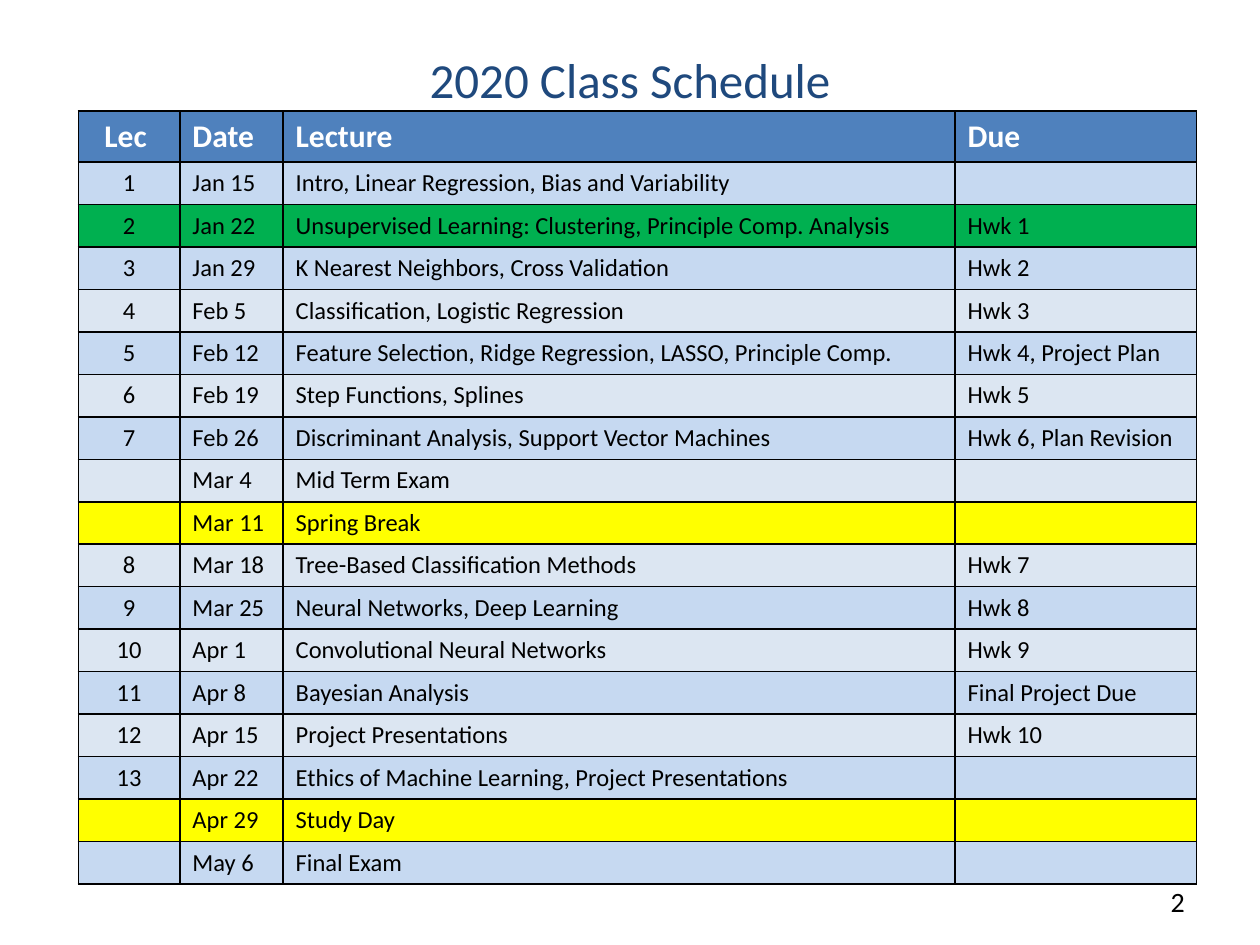
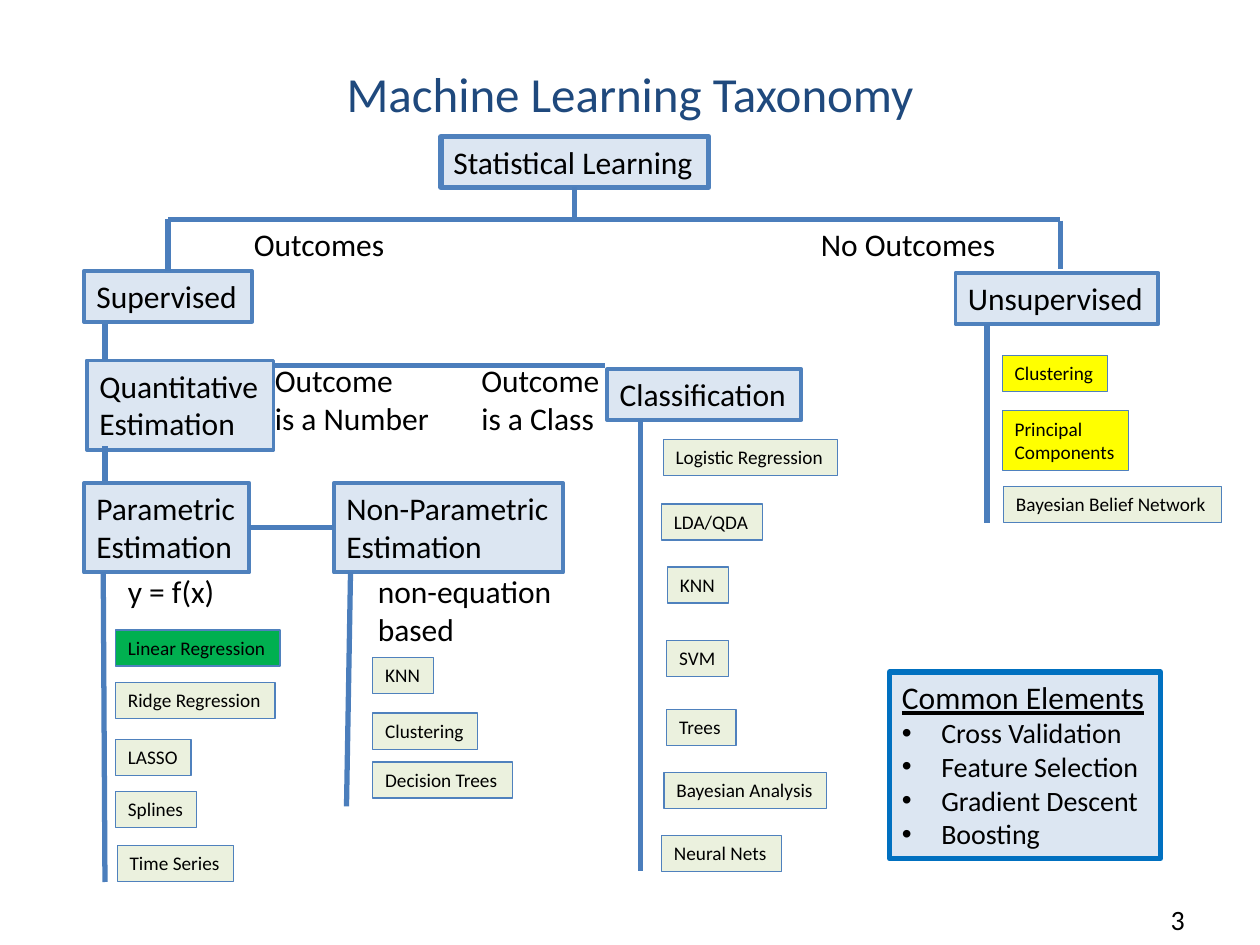
"""Build the class schedule and machine learning taxonomy slides."""
from dataclasses import dataclass

from lxml.etree import SubElement
from pptx import Presentation
from pptx.dml.color import RGBColor
from pptx.enum.shapes import MSO_CONNECTOR as Connector, MSO_SHAPE as Shape
from pptx.enum.text import MSO_ANCHOR as Anchor, MSO_AUTO_SIZE as AutoSize, PP_ALIGN as Align
from pptx.oxml.ns import qn
from pptx.util import Pt

TOP, LEFT, BOTTOM, RIGHT = range(4)


@dataclass(frozen=True)
class BoxStyle:
    """Looks of one kind of box: type size, height rule, fill and outline."""
    size: float
    height: float
    step: float
    fill: str = ""
    weight: float = 0


@dataclass(frozen=True)
class Theme:
    """Colours and type sizes shared by the slides."""
    font: str = "Calibri"
    ink: str = "000000"
    white: str = "FFFFFF"
    title: str = "1F497D"
    blue: str = "4F81BD"
    branch: str = "4B7EBC"
    frame: str = "0070C0"
    bands: tuple = ("DCE6F2", "C6D9F1")
    today: str = "00B050"
    marked: str = "FFFF00"
    title_size: float = 28
    head_size: float = 18
    list_size: float = 16
    cell_size: float = 14
    thick: float = 3
    node: BoxStyle = BoxStyle(18, 29.1, 22, "DCE6F2", 2.25)
    label: BoxStyle = BoxStyle(18, 29.1, 22)
    leaf: BoxStyle = BoxStyle(11, 20.6, 13.4, "EBF1DE", 0.75)


def assign(target, values):
    """Set every attribute named in values."""
    for name, value in values.items():
        setattr(target, name, value)


class Board:
    """Holds the theme and the current slide, and draws elements on it."""

    def __init__(self, deck, theme):
        """Keep the deck and its theme."""
        self.deck, self.theme, self.page = deck, theme, None

    def start(self, title, top, height, number, number_top):
        """Add a titled slide with its page number."""
        self.page = self.deck.slides.add_slide(self.deck.slide_layouts[5])
        box = self.page.shapes.title
        assign(box, dict(left=Pt(36), top=Pt(top), width=Pt(648), height=Pt(height)))
        box.text_frame.vertical_anchor = Anchor.MIDDLE
        self.add_span(box.text_frame.paragraphs[0], title, self.theme.title_size,
                      self.theme.title, Align.CENTER)
        box = self.page.shapes.add_textbox(Pt(516), Pt(number_top), Pt(168), Pt(28.8))
        assign(box.text_frame, dict(word_wrap=True, vertical_anchor=Anchor.MIDDLE))
        self.add_span(box.text_frame.paragraphs[0], number, self.theme.list_size,
                      align=Align.RIGHT)

    def add_span(self, para, text, size, color=None, align=Align.LEFT, **extra):
        """Put one formatted span in a paragraph, or only its size if empty."""
        para.alignment = align
        if not text:
            SubElement(para._p, qn("a:endParaRPr"), sz=str(size * 100))
            return
        span = para.add_run()
        span.text = text
        assign(span.font, dict(name=self.theme.font, size=Pt(size), **extra))
        span.font.color.rgb = RGBColor.from_string(color or self.theme.ink)

    def outline(self, line, color, weight):
        """Colour a line and set its width."""
        line.color.rgb = RGBColor.from_string(color)
        line.width = Pt(weight)

    def frame(self, left, top, width, height, fill, edge, weight):
        """Add a rectangle, or a bare text box when there is no fill."""
        area = [Pt(value) for value in (left, top, width, height)]
        if fill:
            box = self.page.shapes.add_shape(Shape.RECTANGLE, *area)
            box.shadow.inherit = False
            box.fill.solid()
            box.fill.fore_color.rgb = RGBColor.from_string(fill)
            self.outline(box.line, edge, weight)
        else:
            box = self.page.shapes.add_textbox(*area)
        assign(box.text_frame, dict(word_wrap=False, vertical_anchor=Anchor.TOP,
                                    auto_size=AutoSize.SHAPE_TO_FIT_TEXT))
        return box

    def box(self, style, text, left, top, width, fill=None, weight=None):
        """Add a box whose height follows its number of lines."""
        lines = text.split("\n")
        height = style.height + style.step * (len(lines) - 1)
        box = self.frame(left, top, width, height, fill or style.fill,
                         self.theme.blue, weight or style.weight)
        for index, line in enumerate(lines):
            para = box.text_frame.add_paragraph() if index else box.text_frame.paragraphs[0]
            self.add_span(para, line, style.size)
        return box

    def panel(self, heading, items, left, top, width, height):
        """Add a framed box with an underlined heading and bullets."""
        theme = self.theme
        box = self.frame(left, top, width, height, theme.node.fill, theme.frame, theme.thick)
        self.add_span(box.text_frame.paragraphs[0], heading, theme.head_size, underline=True)
        for item in items:
            para = box.text_frame.add_paragraph()
            props = para._p.get_or_add_pPr()
            indent = int(Pt(22.5))
            props.set("marL", str(indent))
            props.set("indent", str(-indent))
            SubElement(props, qn("a:buFont"), typeface="Arial")
            SubElement(props, qn("a:buChar"), char="•")
            self.add_span(para, item, theme.list_size)

    def branch(self, start, end, start_box=None, end_box=None):
        """Draw a line between points, joined to (box, side) pairs if given."""
        line = self.page.shapes.add_connector(
            Connector.STRAIGHT, *(Pt(value) for value in (*start, *end)))
        self.outline(line.line, self.theme.branch, self.theme.thick)
        SubElement(line._element.spPr, qn("a:effectLst"))
        if start_box:
            line.begin_connect(*start_box)
        if end_box:
            line.end_connect(*end_box)

    def cell(self, cell, text, fill, size, color, align, bold):
        """Fill one table cell, with a thin border on all sides."""
        props = cell._tc.get_or_add_tcPr()
        for side in ("lnL", "lnR", "lnT", "lnB"):
            edge = SubElement(props, qn(f"a:{side}"), w=str(int(Pt(1))))
            paint = SubElement(edge, qn("a:solidFill"))
            SubElement(paint, qn("a:srgbClr"), val=self.theme.ink)
        cell.fill.solid()
        cell.fill.fore_color.rgb = RGBColor.from_string(fill)
        self.add_span(cell.text_frame.paragraphs[0], text, size, color, align, bold=bold)

    def table(self, rows, marks, left, top, widths, head_height, row_height):
        """Add a banded table; marks maps a date to its row colour."""
        theme = self.theme
        height = head_height + row_height * (len(rows) - 1)
        grid = self.page.shapes.add_table(len(rows), len(widths), Pt(left), Pt(top),
                                          Pt(sum(widths)), Pt(height)).table
        for column, width in zip(grid.columns, widths):
            column.width = Pt(width)
        for index, row in enumerate(rows):
            head = index == 0
            grid.rows[index].height = Pt(head_height if head else row_height)
            fill = theme.blue if head else marks.get(row[1], theme.bands[index % 2])
            size = theme.head_size if head else theme.cell_size
            color = theme.white if head else theme.ink
            for place, text in enumerate(row):
                align = Align.LEFT if place else Align.CENTER
                self.cell(grid.cell(index, place), text, fill, size, color, align, head)


SCHEDULE = [
    ("Lec ", "Date", "Lecture", "Due"),
    ("1", "Jan 15", "Intro, Linear Regression, Bias and Variability", ""),
    ("2", "Jan 22", "Unsupervised Learning: Clustering, Principle Comp. Analysis", "Hwk 1"),
    ("3", "Jan 29", "K Nearest Neighbors, Cross Validation", "Hwk 2"),
    ("4", "Feb 5", "Classification, Logistic Regression", "Hwk 3"),
    ("5", "Feb 12", "Feature Selection, Ridge Regression, LASSO, Principle Comp.",
     "Hwk 4, Project Plan"),
    ("6", "Feb 19", "Step Functions, Splines", "Hwk 5"),
    ("7", "Feb 26", "Discriminant Analysis, Support Vector Machines", "Hwk 6, Plan Revision"),
    ("", "Mar 4", "Mid Term Exam", ""),
    ("", "Mar 11", "Spring Break", ""),
    ("8", "Mar 18", "Tree-Based Classification Methods", "Hwk 7"),
    ("9", "Mar 25", "Neural Networks, Deep Learning", "Hwk 8"),
    ("10", "Apr 1", "Convolutional Neural Networks", "Hwk 9"),
    ("11", "Apr 8", "Bayesian Analysis", "Final Project Due"),
    ("12", "Apr 15", "Project Presentations", "Hwk 10"),
    ("13", "Apr 22", "Ethics of Machine Learning, Project Presentations", ""),
    ("", "Apr 29", "Study Day", ""),
    ("", "May 6", "Final Exam", ""),
]

NODES = [
    ("Supervised", 48, 154.8, 96),
    ("Unsupervised", 546, 156, 116),
    ("Quantitative\nEstimation", 49.7, 206, 106.6),
    ("Classification", 347, 211, 111),
    ("Parametric\nEstimation", 48, 276, 94.5),
    ("Non-Parametric\nEstimation", 190.8, 276, 131),
]

LABELS = [
    ("Outcomes", 138, 125.3, 90),
    ("No Outcomes", 462, 125.3, 115.2),
    ("Outcome\nis a Number", 150, 203, 103.7),
    ("Outcome\nis a Class", 268, 203, 82.8),
    ("y = f(x)", 66, 323.3, 64.8),
    ("non-equation\nbased", 208.8, 323.3, 115.2),
]

LEAVES = [
    ("Linear Regression", 66, 360, 94),
    ("Ridge Regression", 66, 390, 91.2),
    ("LASSO", 66, 422.6, 43.2),
    ("Splines", 66, 452.2, 46.4),
    ("Time Series", 67, 483, 66.5),
    ("KNN", 213, 375.6, 34.8),
    ("Clustering", 213, 407.5, 60),
    ("Decision Trees", 213, 435.4, 80),
    ("Logistic Regression", 379, 251, 99.6),
    ("LDA/QDA", 378, 288, 57.8),
    ("KNN", 381.5, 324, 34.8),
    ("SVM", 381, 365.8, 35.3),
    ("Trees", 381, 405.4, 39.6),
    ("Bayesian Analysis", 379.4, 441.4, 93),
    ("Neural Nets", 378, 477.4, 68.4),
    ("Clustering", 572.7, 203, 60),
    ("Principal\nComponents", 572.7, 234.7, 72),
    ("Bayesian Belief Network", 573.5, 278, 124.6),
]

BRANCHES = [
    ((606, 125.3), (96, 125.3)),
    ((606, 126), (606, 154)),
    ((60, 185), (60, 206)),
    ((345.6, 208.8), (156.3, 208.8)),
    ((60, 255), (60, 275)),
    ((59, 327), (60, 504)),
    ((200.3, 327), (198, 460.8)),
    ((366, 240), (366, 498)),
    ((564, 185), (564, 298.8)),
]


def schedule(board):
    """Draw the class schedule."""
    theme = board.theme
    marks = {"Jan 22": theme.today, "Mar 11": theme.marked, "Apr 29": theme.marked}
    board.start("2020 Class Schedule", 0, 90, "2", 500.4)
    board.table(SCHEDULE, marks, 44.8, 63.4, (58, 59, 384, 138), 29.2, 24.27)


def taxonomy(board):
    """Draw the tree of learning methods."""
    theme = board.theme
    board.start("Machine Learning Taxonomy", 21.6, 62.6, "3", 511.2)
    root = board.box(theme.node, "Statistical Learning", 252, 78, 153, weight=theme.thick)
    nodes = {text: board.box(theme.node, text, *place) for text, *place in NODES}
    for start, end in BRANCHES:
        board.branch(start, end)
    board.branch((328.5, 107), (328.5, 125.3), start_box=(root, BOTTOM))
    board.branch((96, 125.3), (96, 154.8), end_box=(nodes["Supervised"], TOP))
    board.branch((190.8, 301.5), (142.5, 301.5),
                 (nodes["Non-Parametric\nEstimation"], LEFT),
                 (nodes["Parametric\nEstimation"], RIGHT))
    for text, *place in LABELS:
        board.box(theme.label, text, *place)
    unsupervised_left = 570
    for text, left, *place in LEAVES:
        marked = left > unsupervised_left and not text.startswith("Bayesian")
        fill = theme.today if text == "Linear Regression" else theme.marked if marked else None
        board.box(theme.leaf, text, left, *place, fill=fill)
    board.panel("Common Elements", ("Cross Validation", "Feature Selection",
                                    "Gradient Descent", "Boosting"), 508.3, 384, 154.8, 106.6)


def main():
    """Build and save the deck."""
    deck = Presentation()
    assign(deck, dict(slide_width=Pt(720), slide_height=Pt(540)))
    board = Board(deck, Theme())
    schedule(board)
    taxonomy(board)
    deck.save("out.pptx")


if __name__ == "__main__":
    main()
